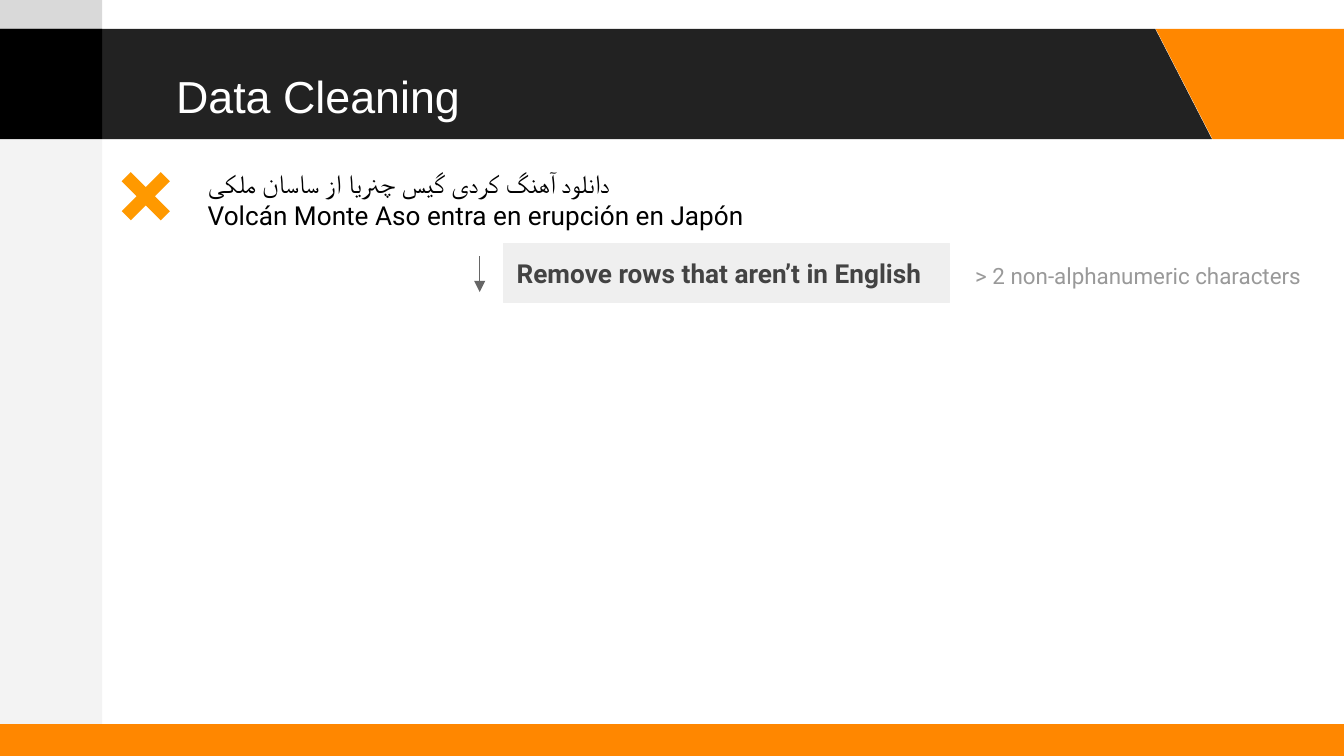
from dataclasses import dataclass

from lxml import etree
from pptx import Presentation
from pptx.dml.color import RGBColor
from pptx.enum.shapes import MSO_CONNECTOR, MSO_SHAPE
from pptx.enum.text import MSO_ANCHOR, MSO_AUTO_SIZE, PP_ALIGN
from pptx.oxml.ns import qn
from pptx.shapes.autoshape import Shape
from pptx.slide import Slide
from pptx.text.text import TextFrame
from pptx.util import Pt

RECT = MSO_SHAPE.RECTANGLE
SLANT = MSO_SHAPE.PARALLELOGRAM
CROSS = MSO_SHAPE.MATH_MULTIPLY
LINE = MSO_CONNECTOR.STRAIGHT
LEFT = PP_ALIGN.LEFT
TOP = MSO_ANCHOR.TOP
MIDDLE = MSO_ANCHOR.MIDDLE
FIXED = MSO_AUTO_SIZE.NONE

WHITE = RGBColor(0xFF, 0xFF, 0xFF)
BLACK = RGBColor(0, 0, 0)
DARK = RGBColor(0x22, 0x22, 0x22)
ORANGE = RGBColor(0xFF, 0x87, 0x00)
AMBER = RGBColor(0xFF, 0x99, 0x00)
SILVER = RGBColor(0xD9, 0xD9, 0xD9)
PALE = RGBColor(0xF3, 0xF3, 0xF3)
PANEL = RGBColor(0xEF, 0xEF, 0xEF)
SLATE = RGBColor(0x43, 0x43, 0x43)
STEEL = RGBColor(0x66, 0x66, 0x66)
MUTED = RGBColor(0x99, 0x99, 0x99)

WIDE, HIGH = 720, 405
SIDE = 54.7
BAND_TOP, BAND_HIGH = 15.5, 59
INSET = 7.2


@dataclass(frozen=True)
class Box:
    x: float
    y: float
    w: float
    h: float


@dataclass(frozen=True)
class Block:
    kind: MSO_SHAPE
    box: Box
    fill: RGBColor
    adjust: float | None = None
    flip: bool = False


@dataclass(frozen=True)
class Words:
    text: str
    font: str
    size: float
    color: RGBColor
    bold: bool = False


@dataclass(frozen=True)
class Note:
    box: Box
    lines: tuple[Words, ...]


BLOCKS = (
    Block(RECT, Box(0, 0, SIDE, 22), SILVER),
    Block(RECT, Box(0, 29, SIDE, 371), PALE),
    Block(SLANT, Box(-33.1, BAND_TOP, 682.4, BAND_HIGH), DARK, 0.515, True),
    Block(SLANT, Box(619.2, BAND_TOP, 138.2, BAND_HIGH), ORANGE, 0.515, True),
    Block(RECT, Box(0, 388, WIDE, HIGH - 388), ORANGE),
    Block(RECT, Box(0, BAND_TOP, SIDE, BAND_HIGH), BLACK),
    Block(CROSS, Box(58, 85, 40.3, 40.3), AMBER, 0.172),
)

TITLE = Words("Data Cleaning", "Arial", 24, WHITE)
RULE = Words("Remove rows that aren’t in English", "Roboto", 14, SLATE, True)
PANE = Block(RECT, Box(269.7, 130.5, 239, 31.5), PANEL)
NOTES = (
    Note(Box(104.2, 82.7, 455, 48.2), (
        Words("دانلود آهنگ کردی گیس چنریا از ساسان ملکی", "Arial", 14, BLACK),
        Words("Volcán Monte Aso entra en erupción en Japón", "Roboto", 14, BLACK),
    )),
    Note(Box(515.4, 133.3, 204.6, 29), (
        Words("> 2 non-alphanumeric characters", "Roboto", 12, MUTED),
    )),
)


def place(item: Shape, box: Box) -> None:
    item.left, item.top = Pt(box.x), Pt(box.y)
    item.width, item.height = Pt(box.w), Pt(box.h)


def write(frame: TextFrame, lines: tuple[Words, ...], anchor: MSO_ANCHOR) -> None:
    frame.word_wrap = True
    frame.auto_size = FIXED
    frame.vertical_anchor = anchor
    frame.margin_left = frame.margin_right = Pt(INSET)
    frame.margin_top = frame.margin_bottom = Pt(INSET)
    for i, words in enumerate(lines):
        para = frame.add_paragraph() if i else frame.paragraphs[0]
        para.text = words.text
        para.alignment = LEFT
        font = para.font
        font.name, font.size, font.bold = words.font, Pt(words.size), words.bold
        font.color.rgb = words.color


def draw(slide: Slide, block: Block) -> Shape:
    box = block.box
    item = slide.shapes.add_shape(block.kind, Pt(box.x), Pt(box.y), Pt(box.w), Pt(box.h))
    item.shadow.inherit = False
    item.fill.solid()
    item.fill.fore_color.rgb = block.fill
    item.line.fill.background()
    if block.adjust is not None:
        item.adjustments[0] = block.adjust
    if block.flip:
        item._element.spPr.find(qn("a:xfrm")).set("flipH", "1")
    return item


def arrow(slide: Slide, x: float, top: float, end: float) -> None:
    item = slide.shapes.add_connector(LINE, Pt(x), Pt(top), Pt(x), Pt(end))
    item.line.color.rgb = STEEL
    item.line.width = Pt(0.75)
    etree.SubElement(item.line._get_or_add_ln(), qn("a:tailEnd"), type="triangle")
    etree.SubElement(item._element.spPr, qn("a:effectLst"))


def main() -> None:
    deck = Presentation()
    deck.slide_width, deck.slide_height = Pt(WIDE), Pt(HIGH)
    slide = deck.slides.add_slide(deck.slide_layouts[5])
    for block in BLOCKS:
        draw(slide, block)

    title = slide.shapes.title
    place(title, Box(87.1, 21.9, 529.2, BAND_HIGH))
    write(title.text_frame, (TITLE,), MIDDLE)
    slide.shapes._spTree.append(title._element)

    arrow(slide, 257, 137.3, 156.5)
    pane = draw(slide, PANE)
    pane.line.color.rgb = PANEL
    pane.line.width = Pt(0.75)
    write(pane.text_frame, (RULE,), TOP)

    for note in NOTES:
        box = note.box
        item = slide.shapes.add_textbox(Pt(box.x), Pt(box.y), Pt(box.w), Pt(box.h))
        write(item.text_frame, note.lines, TOP)
    deck.save("out.pptx")


if __name__ == "__main__":
    main()
